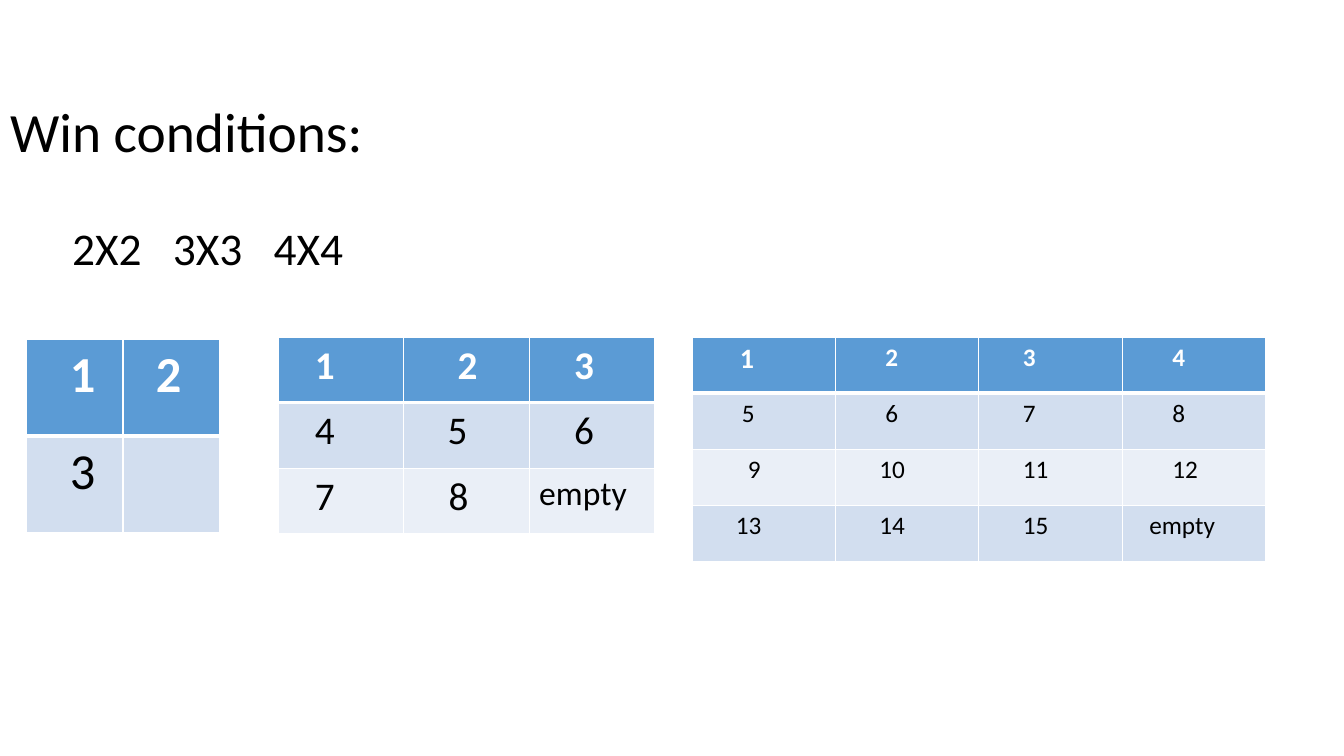
import pptx
import pptx.util
import pptx.dml.color
import pptx.enum.text
import pptx.oxml
import pptx.oxml.ns
import lxml.etree

HUES = {"ink": "000000", "paper": "FFFFFF", "head": "5B9BD5",
        "odd": "D2DEEF", "even": "EAEFF7"}
SCALE = 914400 / 100.8


def px(size):
    return pptx.util.Emu(round(size * SCALE))


def sub(node, tag, **attrs):
    return lxml.etree.SubElement(node, pptx.oxml.ns.qn(tag), attrs)


class Deck:
    font = "Calibri"

    def __init__(self, wide, high):
        self.file = pptx.Presentation()
        self.file.slide_width, self.file.slide_height = px(wide), px(high)
        self.slide = self.file.slides.add_slide(self.file.slide_layouts[5])

    def color(self, name):
        return pptx.dml.color.RGBColor.from_string(HUES[name])

    def run(self, para, text, size, hue="ink", bold=False):
        run = para.add_run()
        run.text = text
        run.font.name = self.font
        run.font.size = pptx.util.Pt(size)
        run.font.bold = bold
        run.font.color.rgb = self.color(hue)

    def title(self, box, text, labels, stops):
        shape = self.slide.shapes.title
        shape.left, shape.top, shape.width, shape.height = map(px, box)
        frame = shape.text_frame
        frame.word_wrap = True
        frame.auto_size = pptx.enum.text.MSO_AUTO_SIZE.NONE
        frame.vertical_anchor = pptx.enum.text.MSO_ANCHOR.MIDDLE
        top, low = frame.paragraphs[0], frame.add_paragraph()
        for para in (top, low):
            para.alignment = pptx.enum.text.PP_ALIGN.LEFT
            para.line_spacing = 0.9
            para.space_before = pptx.util.Pt(0)
        low.space_before = pptx.util.Pt(43.5)
        self.run(top, text, 39.6)
        props = low._p.get_or_add_pPr()
        props.set("marL", str(px(stops[0])))
        props.set("indent", "0")
        tabs = sub(props, "a:tabLst")
        for stop in stops[1:]:
            sub(tabs, "a:tab", pos=str(px(stop)), algn="l")
        self.run(low, "\t".join(labels), 32.4)

    def edges(self, cell, row):
        props = cell._tc.get_or_add_tcPr()
        widths = {"L": 1, "R": 1, "T": 3 if row == 1 else 1,
                  "B": 3 if row == 0 else 1}
        for side, width in widths.items():
            line = sub(props, "a:ln" + side, w=str(pptx.util.Pt(width)))
            sub(sub(line, "a:solidFill"), "a:srgbClr", val=HUES["paper"])

    def grid(self, box, size, pads, last="", odd={}):
        count = len(pads)
        frame = self.slide.shapes.add_table(count, count, *map(px, box))
        table = frame.table
        for col in table.columns:
            col.width = px(box[2] / count)
        for line in table.rows:
            line.height = px(box[3] / count)
        for row, line in enumerate(pads):
            for col, pad in enumerate(line):
                cell = table.cell(row, col)
                self.edges(cell, row)
                cell.fill.solid()
                band = "head" if row == 0 else "odd" if row % 2 else "even"
                cell.fill.fore_color.rgb = self.color(band)
                cell.margin_left = px(pad)
                num = row * count + col + 1
                text = last if num == count ** 2 else str(num)
                if text:
                    hue = "ink" if row else "paper"
                    self.run(cell.text_frame.paragraphs[0], text,
                             odd.get(num, size), hue, row == 0)


deck = Deck(1344, 756)
deck.title((0, 72, 1159, 236), "Win conditions:",
           ("2X2", "3X3", "4X4"), (62, 368, 837))
deck.grid((26, 339, 194, 194), 36, [(44, 33), (44, 10)])
deck.grid((692, 337, 574, 225), 18,
          [(48, 50, 44, 50), (50, 50, 44, 50),
           (56, 44, 44, 50), (44, 44, 44, 27)], "empty", {1: 20})
deck.grid((278, 337, 377, 197), 28,
          [(37, 54, 45), (37, 44, 45), (37, 45, 10)], "empty", {9: 24})
deck.file.save("out.pptx")
